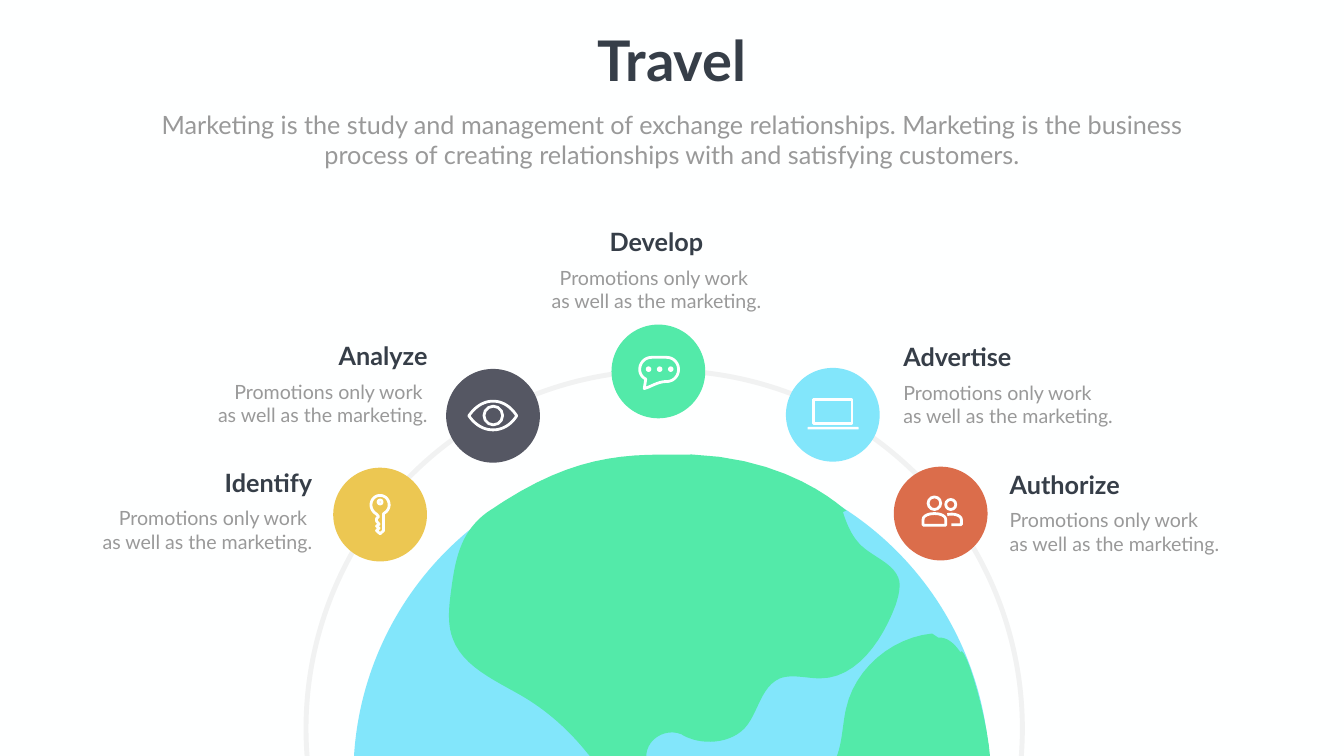
import dataclasses
import typing

import lxml.etree
import pptx
import pptx.dml.color
import pptx.enum.shapes
import pptx.enum.text
import pptx.oxml.ns
import pptx.util

ROWS = 15
COLS = 26.66
CELL = pptx.util.Inches(1)
STEPS = 12
DISC = 1.86
GAP = 0.77

WHITE, INK, GREY = "FEFFFF", "363E48", "999999"
GREEN, BLUE, DARK, GOLD, RED = "53EAA9", "82E6FB", "555763", "ECC752", "DB6D4B"

KIND = pptx.enum.shapes.MSO_SHAPE
ALIGN = pptx.enum.text.PP_ALIGN
HEAD = {"size": pptx.util.Pt(36), "bold": True, "name": "Lato"}
LEAD = {"size": pptx.util.Pt(36), "bold": False, "name": "Lato"}
BODY = {"size": pptx.util.Pt(28), "bold": False, "name": "Lato"}
TITLE = {"size": pptx.util.Pt(80), "bold": True, "name": "Lato"}
SHARE = {ALIGN.LEFT: 0, ALIGN.CENTER: 0.5, ALIGN.RIGHT: 1}


@dataclasses.dataclass
class Curve:
    points: list
    shut: bool = True


@dataclasses.dataclass
class Mark:
    x: float
    y: float
    wide: float
    tall: float
    solid: bool = False
    kind: typing.Any = KIND.OVAL


@dataclasses.dataclass
class Stop:
    name: str
    x: float
    y: float
    hue: str
    side: typing.Any
    edge: float
    top: float
    icon: list


LAND = [
    Curve([
        (19.27, 17.5), (18.54, 19.57, 17.82, 19.68, 16.94, 20.54), (13.96, 20.54),
        (13.93, 20.46, 13.91, 20.37, 13.9, 20.28), (13.82, 19.84, 13.88, 19.4, 13.94, 18.96),
        (13.96, 18.78, 13.98, 18.6, 14.08, 18.44), (14.32, 18.1, 14.9, 18.04, 15.02, 17.64),
        (15.04, 17.51, 15.02, 17.37, 15.02, 17.23), (15.02, 16.31, 16.28, 15.89, 16.59, 15.03),
        (16.71, 14.73, 16.71, 14.39, 16.78, 14.07), (16.95, 13.27, 17.69, 12.65, 18.49, 12.57),
        (18.61, 12.65), (18.8, 12.64, 18.94, 12.78, 19.05, 12.94),
        (19.13, 12.71, 19.66, 14.42, 19.65, 15.27), (19.64, 15.91, 19.63, 15.9, 19.55, 16.31),
        (19.47, 16.72, 19.23, 17.47, 19.18, 17.7)]),
    Curve([
        (16.72, 10.16), (16.8, 10.41, 16.9, 10.65, 17.09, 10.83),
        (17.35, 11.07, 17.76, 11.19, 17.84, 11.53), (17.86, 11.7, 17.81, 11.87, 17.76, 12.02),
        (17.5, 12.71, 16.99, 13.46, 16.27, 13.46), (16, 13.46, 15.71, 13.37, 15.47, 13.46),
        (15.08, 13.63, 15.04, 14.16, 14.77, 14.45), (14.51, 14.72, 14.07, 14.77, 13.74, 14.67),
        (13.66, 14.64, 13.59, 14.62, 13.52, 14.57), (13.18, 14.43, 12.79, 14.69, 12.82, 15.05),
        (12.94, 15.32, 12.58, 15.59, 12.29, 15.49), (12, 15.42, 11.83, 15.15, 11.64, 14.93),
        (11.28, 14.48, 10.84, 14.09, 10.34, 13.8), (9.8, 13.49, 9.18, 13.22, 8.98, 12.67),
        (8.86, 12.35, 8.91, 11.99, 8.96, 11.63), (9.01, 11.27, 9.08, 10.86, 9.3, 10.54),
        (9.4, 10.39, 9.53, 10.26, 9.67, 10.16), (11.08, 9.19, 12.04, 9.02, 13.13, 9.02),
        (15.63, 8.9, 16.8, 10.18, 16.79, 10.13)]),
]

CHAT = [Curve([
    (12.93, 7.09), (13.22, 7.09), (13.36, 7.09, 13.46, 7.2, 13.46, 7.33),
    (13.46, 7.46, 13.36, 7.57, 13.22, 7.57), (13.05, 7.57, 12.92, 7.67, 12.78, 7.71),
    (12.81, 7.52), (12.73, 7.48, 12.69, 7.41, 12.69, 7.33),
    (12.69, 7.2, 12.79, 7.09, 12.93, 7.09)])]
CHAT += [Mark(12.81 + 0.22 * i, 7.27, 0.11, 0.11, True) for i in range(3)]

EYE = [
    Curve([(9.3, 8.25), (9.42, 8.08, 9.58, 7.96, 9.78, 7.96),
           (9.98, 7.96, 10.14, 8.08, 10.25, 8.25), (10.14, 8.42, 9.98, 8.53, 9.78, 8.53),
           (9.58, 8.53, 9.42, 8.42, 9.3, 8.25)]),
    Mark(9.6, 8.06, 0.37, 0.37),
]
LAPTOP = [
    Mark(16.14, 7.93, 0.76, 0.47, False, KIND.RECTANGLE),
    Mark(16.02, 8.47, 1.01, 0.05, True, KIND.ROUNDED_RECTANGLE),
]
KEY = [
    Curve([(7.47, 10.2), (7.4, 10.16, 7.36, 10.09, 7.36, 10.02),
           (7.36, 9.91, 7.44, 9.83, 7.54, 9.83), (7.64, 9.83, 7.72, 9.91, 7.72, 10.02),
           (7.72, 10.09, 7.68, 10.15, 7.61, 10.19), (7.61, 10.53), (7.54, 10.59),
           (7.47, 10.53), (7.52, 10.48), (7.47, 10.44), (7.52, 10.4), (7.47, 10.34),
           (7.47, 10.29), (7.51, 10.25)]),
    Mark(7.5, 9.92, 0.08, 0.08),
]
TEAM = [
    Mark(18.41, 9.86, 0.25, 0.25),
    Curve([(18.31, 10.42), (18.31, 10.31), (18.31, 10.15, 18.76, 10.15, 18.76, 10.31),
           (18.76, 10.42)]),
    Mark(18.76, 9.91, 0.2, 0.2),
    Curve([(18.79, 10.21), (18.93, 10.18, 19.07, 10.23, 19.07, 10.31), (19.07, 10.41),
           (18.87, 10.41)], False),
]

STOPS = [
    Stop("Develop", 12.13, 6.44, GREEN, ALIGN.CENTER, 13.02, 4.45, CHAT),
    Stop("Analyze", 8.85, 7.32, DARK, ALIGN.RIGHT, 8.58, 6.71, EYE),
    Stop("Identify", 6.61, 9.28, GOLD, ALIGN.RIGHT, 6.29, 9.22, KEY),
    Stop("Advertise", 15.59, 7.3, BLUE, ALIGN.LEFT, 17.82, 6.73, LAPTOP),
    Stop("Authorize", 17.73, 9.26, RED, ALIGN.LEFT, 19.93, 9.26, TEAM),
]


def cell(count: float) -> int:
    return round(count * CELL)


def dress(thing: typing.Any, values: dict) -> None:
    for key, value in values.items():
        setattr(thing, key, value)


def place(thing: typing.Any, x: float, y: float, wide: float, tall: float) -> None:
    dress(thing, {"left": cell(x), "top": cell(y), "width": cell(wide), "height": cell(tall)})


def tint(fill: typing.Any, code: str) -> None:
    fill.solid()
    fill.fore_color.rgb = pptx.dml.color.RGBColor.from_string(code)


def paint(shape: typing.Any, code: str, solid: bool = True, width: float = 4) -> None:
    shape.shadow.inherit = False
    if solid:
        tint(shape.fill, code)
        shape.line.fill.background()
    else:
        shape.fill.background()
        tint(shape.line.fill, code)
        shape.line.width = pptx.util.Pt(width)


def trace(shapes: typing.Any, curve: Curve) -> typing.Any:
    spots = [curve.points[0]]
    for point in curve.points[1:]:
        if len(point) == 2:
            spots.append(point)
            continue
        knots = [spots[-1], point[:2], point[2:4], point[4:]]
        for i in range(1, STEPS + 1):
            t = i / STEPS
            loads = ((1 - t) ** 3, 3 * t * (1 - t) ** 2, 3 * t * t * (1 - t), t ** 3)
            spots.append(tuple(sum(w * k[a] for w, k in zip(loads, knots)) for a in (0, 1)))
    dots = [(cell(x), cell(y)) for x, y in spots]
    pen = shapes.build_freeform(*dots[0], scale=1.0)
    pen.add_line_segments(dots[1:], close=curve.shut)
    return pen.convert_to_shape()


def stamp(shapes: typing.Any, mark: Mark) -> typing.Any:
    return shapes.add_shape(mark.kind, *map(cell, (mark.x, mark.y, mark.wide, mark.tall)))


def write(box: typing.Any, lines: list, style: dict, code: str, side: typing.Any) -> None:
    frame = box.text_frame
    dress(frame, {"word_wrap": True, "auto_size": pptx.enum.text.MSO_AUTO_SIZE.NONE,
                  "vertical_anchor": pptx.enum.text.MSO_ANCHOR.TOP})
    frame.text = "\n".join(lines)
    for para in frame.paragraphs:
        para.alignment = side
        for run in para.runs:
            dress(run.font, style)
            tint(run.font.fill, code)


def label(shapes: typing.Any, stop: Stop) -> None:
    tail = "" if stop.side == ALIGN.LEFT else " "
    lines = ["Promotions only work" + tail, "as well as the marketing."]
    for top, wide, tall, text, style, code in (
            (stop.top, 3.5, 0.71, [stop.name], HEAD, INK),
            (stop.top + GAP, 4.5, 1.04, lines, BODY, GREY)):
        left = stop.edge - SHARE[stop.side] * wide
        box = shapes.add_textbox(*map(cell, (left, top, wide, tall)))
        write(box, text, style, code, stop.side)


def main() -> None:
    deck = pptx.Presentation()
    dress(deck, {"slide_width": cell(COLS), "slide_height": cell(ROWS)})
    slide = deck.slides.add_slide(deck.slide_layouts[5])
    tint(slide.background.fill, WHITE)
    shapes = slide.shapes

    place(shapes.title, 11.65, 0.46, 3.36, 1.45)
    write(shapes.title, ["Travel"], TITLE, INK, ALIGN.CENTER)
    lead = shapes.add_textbox(*map(cell, (2.68, 2.11, 21.3, 1.31)))
    write(lead, ["Marketing is the study and management of exchange relationships. Marketing is "
                 "the business process of creating relationships with and satisfying customers."],
          LEAD, GREY, ALIGN.CENTER)

    paint(stamp(shapes, Mark(7.01, 9.08, 12.62, 12.62)), BLUE)
    for curve in LAND:
        paint(trace(shapes, curve), GREEN)
    ring = stamp(shapes, Mark(6.07, 7.35, 14.21, 14.21))
    paint(ring, "808080", False, 7)
    name = pptx.oxml.ns.qn
    shade = ring._element.spPr.find(".//" + name("a:srgbClr"))
    lxml.etree.SubElement(shade, name("a:alpha")).set("val", "10000")

    for stop in STOPS:
        paint(stamp(shapes, Mark(stop.x, stop.y, DISC, DISC)), stop.hue)
        group = shapes.add_group_shape().shapes
        for part in stop.icon:
            if isinstance(part, Curve):
                paint(trace(group, part), WHITE, False)
            else:
                paint(stamp(group, part), WHITE, part.solid)
        label(shapes, stop)
    deck.save("out.pptx")


if __name__ == "__main__":
    main()
